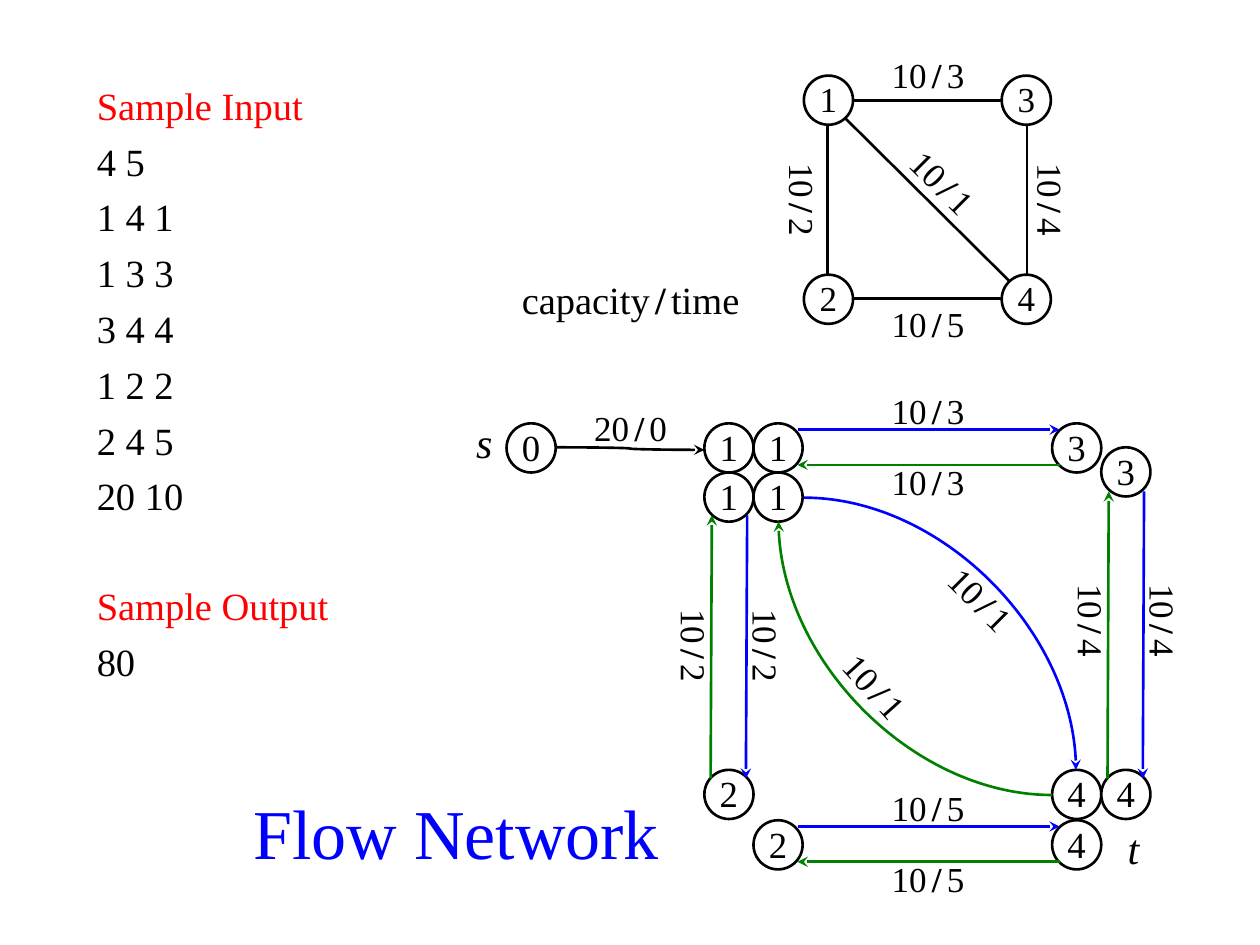
from lxml.etree import SubElement
from pptx import Presentation
from pptx.dml.color import RGBColor
from pptx.enum.shapes import MSO_CONNECTOR as Connector, MSO_SHAPE as Shape
from pptx.enum.text import MSO_ANCHOR as Anchor, PP_ALIGN as Align
from pptx.oxml.ns import qn
from pptx.util import Inches, Pt

BLACK = RGBColor(0, 0, 0)
WHITE = RGBColor(255, 255, 255)
RED = RGBColor(255, 0, 0)
BLUE = RGBColor(0, 0, 255)
GREEN = RGBColor(0, 128, 0)
FONT = "Times New Roman"
NODE = 0.39
LABEL = 0.79
SECTION_GAP = 36.3
LINE_GAP = 5.5

INPUT_LINES = ["4 5", "1 4 1", "1 3 3", "3 4 4", "1 2 2", "2 4 5", "20 10"]
GRAPH_NODES = [("1", 6.38, 0.6), ("3", 7.95, 0.6), ("2", 6.38, 2.18), ("4", 7.95, 2.18)]
FLOW_NODES = [
    ("0", 4.02, 3.36), ("1", 5.59, 3.36), ("1", 5.98, 3.36),
    ("1", 5.59, 3.75), ("1", 5.98, 3.75), ("3", 8.35, 3.36),
    ("3", 8.74, 3.55), ("2", 5.59, 6.11), ("2", 5.98, 6.51),
    ("4", 8.35, 6.11), ("4", 8.74, 6.11), ("4", 8.35, 6.51),
]
GRAPH_EDGES = [
    ((6.71, 0.94), (8.01, 2.23)), ((6.77, 0.8), (7.95, 0.8)),
    ((6.57, 0.99), (6.57, 2.18)), ((8.15, 0.99), (8.15, 2.18)),
    ((6.77, 2.37), (7.95, 2.37)),
]
SINGLE_LABELS = [
    ("10", "3", 6.97, 0.4, 0, (0, 0)), ("10", "5", 6.97, 2.37, 0, (0, 0)),
    ("10", "2", 5.98, 1.39, 90, (0, 0)), ("10", "4", 7.95, 1.39, 90, (0, 0)),
    ("10", "1", 7.06, 1.28, 45, (0, 0.08)), ("10", "1", 6.52, 5.28, 48, (0, 0.08)),
    ("10", "1", 7.39, 4.56, 45, (0, 0)), ("20", "0", 4.61, 3.16, 0, (0.08, 0)),
]
PAIRED_LABELS = [
    ("3", (6.97, 3.55), (6.97, 3.16), 0), ("5", (6.97, 6.7), (6.97, 6.31), 0),
    ("4", (8.35, 4.73), (8.74, 4.73), 90), ("2", (5.2, 4.93), (5.59, 4.93), 90),
]


def apply_format(target, values):
    for name, value in values.items():
        setattr(target, name, value)


def add_run(paragraph, text, size, color=BLACK, spacing=None, **values):
    run = paragraph.add_run()
    run.text = text
    apply_format(run.font, {"name": FONT, "size": Pt(size), **values})
    run.font.color.rgb = color
    if spacing:
        run.font._element.set("spc", str(spacing * 100))


def set_frame(shape, insets=(0, 0, 0, 0), wrap=False, anchor=Anchor.MIDDLE):
    left, top, right, bottom = map(Inches, insets)
    frame = shape.text_frame
    apply_format(frame, {
        "margin_left": left, "margin_top": top, "margin_right": right,
        "margin_bottom": bottom, "word_wrap": wrap, "vertical_anchor": anchor,
    })
    frame.paragraphs[0].alignment = Align.CENTER
    return frame.paragraphs[0]


def add_text(slide, left, top, width, height, insets=(0, 0, 0, 0), rotation=0):
    box = slide.shapes.add_textbox(*map(Inches, (left, top, width, height)))
    box.rotation = rotation
    return set_frame(box, insets)


def add_node(slide, text, left, top, size):
    node = slide.shapes.add_shape(Shape.OVAL, *map(Inches, (left, top, NODE, NODE)))
    node.shadow.inherit = False
    node.fill.solid()
    node.fill.fore_color.rgb = WHITE
    node.line.color.rgb = BLACK
    node.line.width = Pt(1.5)
    add_run(set_frame(node, (0, 0, 0, 0.02)), text, size)


def add_ratio(paragraph, first, second, size):
    add_run(paragraph, first[:-1], size)
    add_run(paragraph, first[-1], size, spacing=3)
    add_run(paragraph, "/", size, spacing=3, bold=True)
    add_run(paragraph, second, size)


def add_label(slide, capacity, time, left, top, rotation, margins):
    insets = (0, margins[0], 0, margins[1])
    paragraph = add_text(slide, left, top, LABEL, NODE, insets, rotation)
    add_ratio(paragraph, capacity, time, 20)


def add_edge(slide, start, end, color=BLACK, arrow=True, kind=Connector.STRAIGHT, preset=None):
    edge = slide.shapes.add_connector(kind, *map(Inches, start + end))
    edge.line.color.rgb = color
    edge.line.width = Pt(1.5)
    properties = edge._element.spPr
    if preset:
        properties.find(qn("a:prstGeom")).set("prst", preset)
    if arrow:
        SubElement(edge.line._get_or_add_ln(), qn("a:tailEnd"), type="stealth")
    SubElement(properties, qn("a:effectLst"))


def add_sample(slide):
    box = slide.shapes.add_textbox(*map(Inches, (0.67, 0.6, 2.17, 4.33)))
    set_frame(box, (0.1, 0.05, 0.1, 0.05), True, Anchor.TOP)
    lines = [("Sample Input", RED, LINE_GAP)]
    lines += [(text, BLACK, LINE_GAP) for text in INPUT_LINES]
    lines += [("Sample Output", RED, SECTION_GAP), ("80", BLACK, LINE_GAP)]
    frame = box.text_frame
    for index, (text, color, gap) in enumerate(lines):
        paragraph = frame.add_paragraph() if index else frame.paragraphs[0]
        apply_format(paragraph, {"alignment": Align.LEFT, "space_before": Pt(gap)})
        add_run(paragraph, text, 22, color)


def add_graph(slide):
    for start, end in GRAPH_EDGES:
        add_edge(slide, start, end, arrow=False)
    for text, left, top in GRAPH_NODES:
        add_node(slide, text, left, top, 20)
    add_ratio(add_text(slide, 4.02, 2.18, 1.97, NODE), "capacity", "time", 22)


def add_flow(slide):
    for text, left, top in FLOW_NODES:
        add_node(slide, text, left, top, 21)
    for top in (3.41, 6.56):
        add_edge(slide, (6.33, top), (8.41, top), BLUE)
        add_edge(slide, (8.41, top + 0.28), (6.33, top + 0.28), GREEN)
    for left, top in ((5.64, 4.09), (8.79, 3.9)):
        add_edge(slide, (left, 6.18), (left + 0.01, top), GREEN)
        add_edge(slide, (left + 0.29, top), (left + 0.28, 6.18), BLUE)
    for start, end, color in (((6.38, 3.95), (8.54, 6.11), BLUE),
                              ((8.35, 6.31), (6.18, 4.14), GREEN)):
        add_edge(slide, start, end, color, kind=Connector.CURVE, preset="curvedConnector2")
    add_edge(slide, (4.41, 3.55), (5.59, 3.57), kind=Connector.CURVE)
    for text, left, top, insets in (("s", 3.62, 3.36, (0.1, 0, 0.04, 0.1)),
                                    ("t", 8.74, 6.51, (0.12, 0.04, 0, 0))):
        add_run(add_text(slide, left, top, NODE, NODE, insets), text, 24, italic=True)


def add_labels(slide):
    for label in SINGLE_LABELS:
        add_label(slide, *label)
    for time, below, above, rotation in PAIRED_LABELS:
        add_label(slide, "10", time, *below, rotation, (0.16, 0))
        add_label(slide, "10", time, *above, rotation, (0, 0.2))


def main():
    presentation = Presentation()
    apply_format(presentation, {"slide_width": Inches(10), "slide_height": Inches(7.5)})
    slide = presentation.slides.add_slide(presentation.slide_layouts[6])
    add_run(add_text(slide, 1.85, 6.11, 3.54, 0.98), "Flow Network", 40, BLUE)
    add_sample(slide)
    add_graph(slide)
    add_flow(slide)
    add_labels(slide)
    presentation.save("out.pptx")


main()
